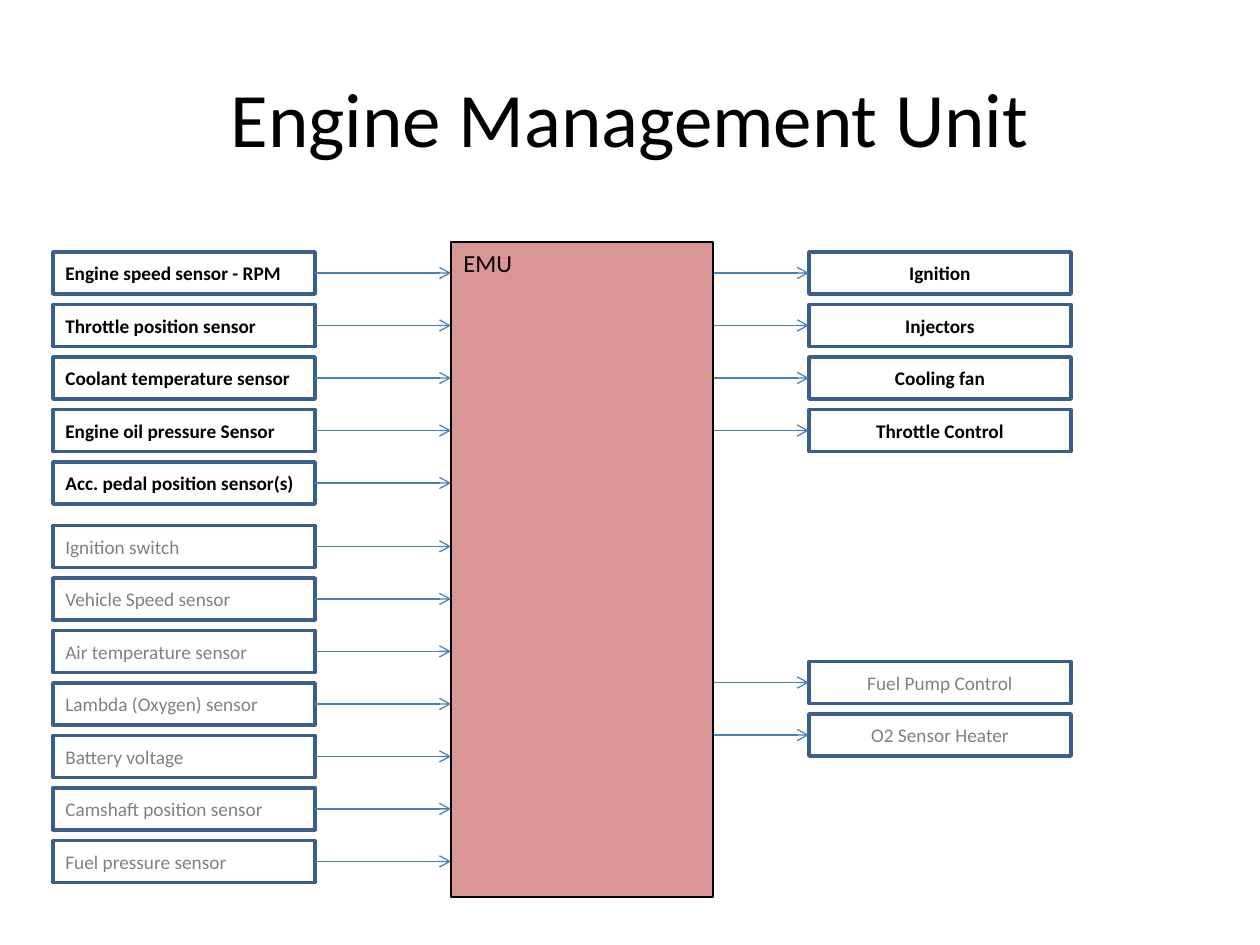
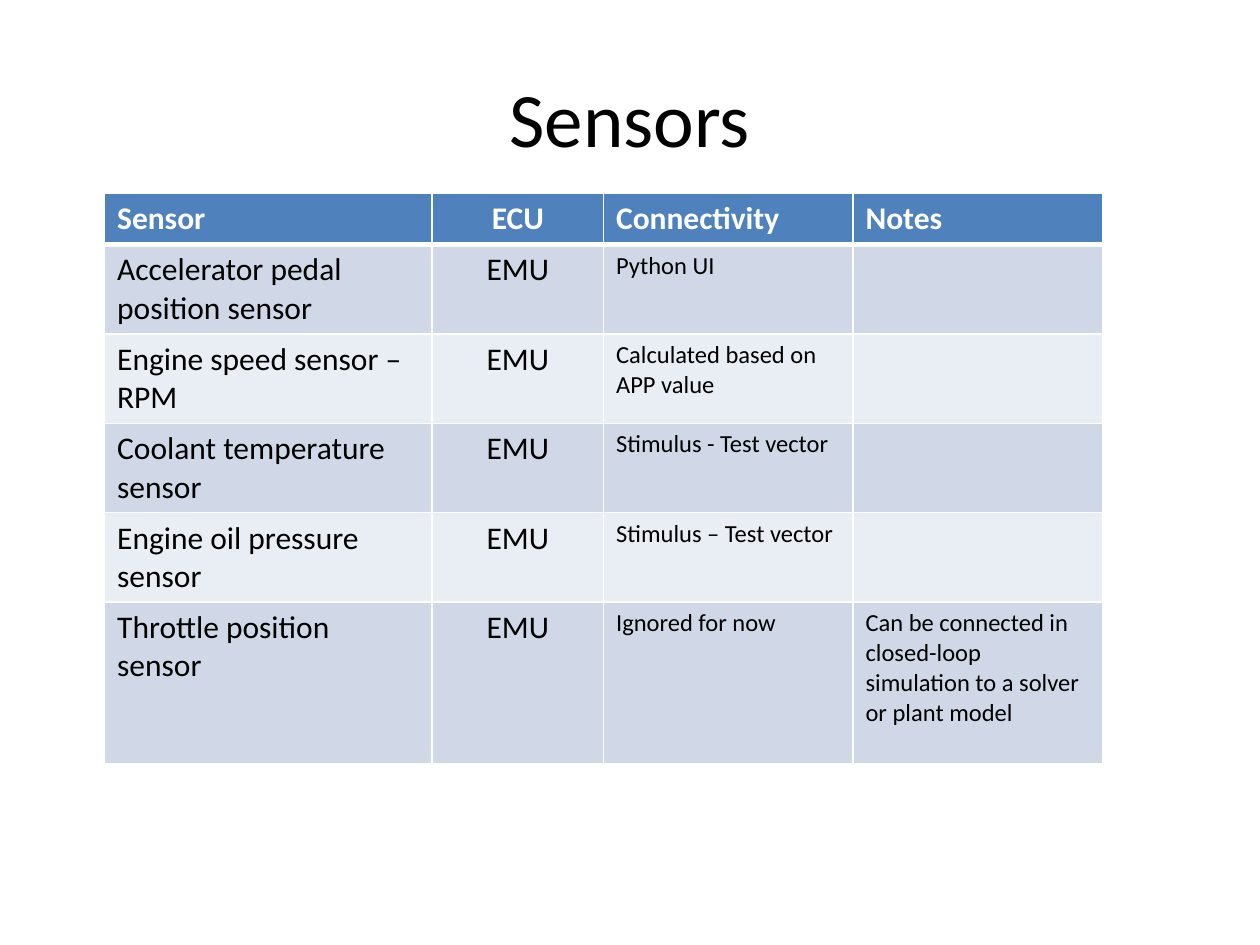
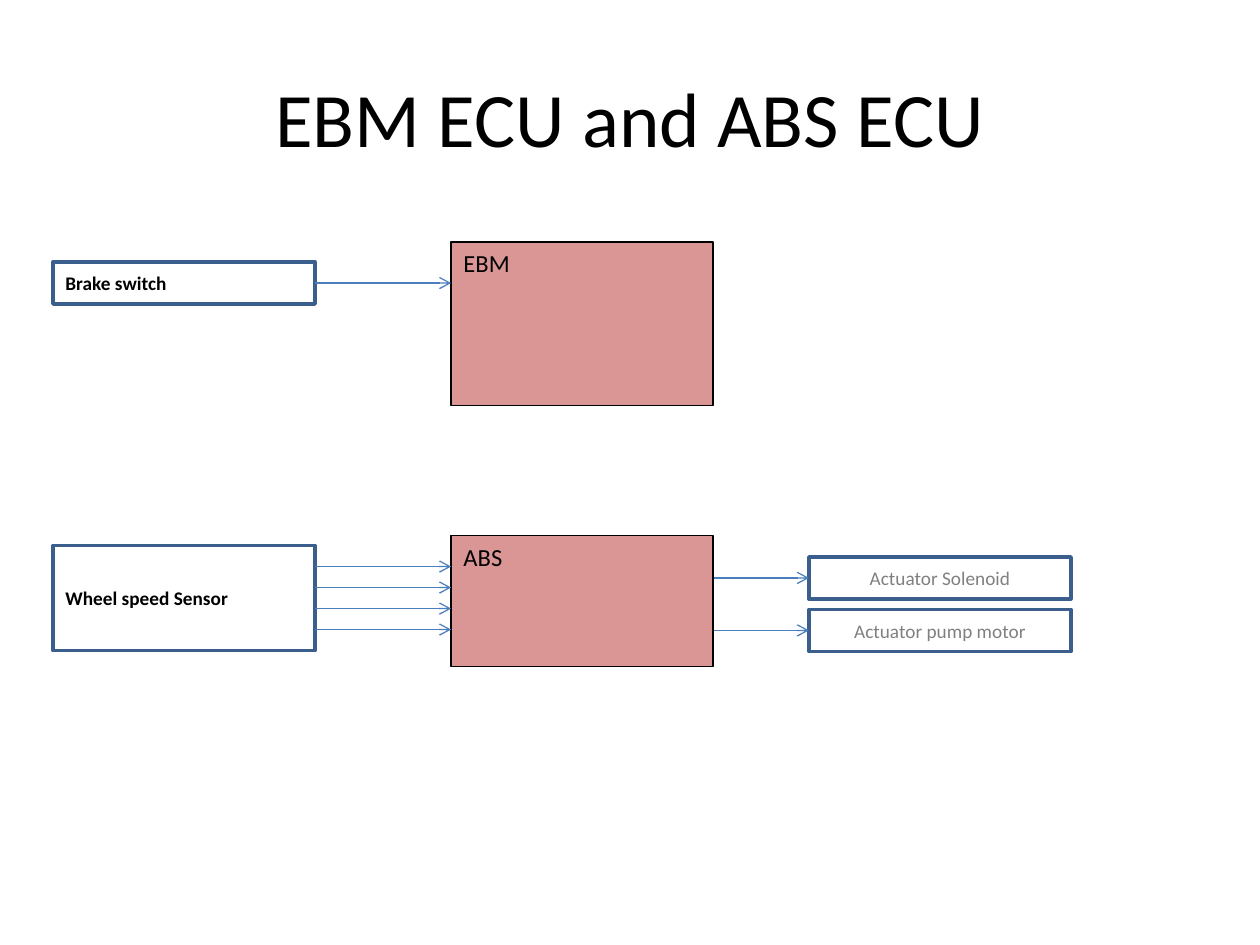
"""Build three slides on engine and brake control units and their sensors."""
import pptx
import pptx.util
import pptx.dml.color
import pptx.enum.shapes
import pptx.enum.text
import pptx.oxml
import pptx.oxml.ns
import lxml.etree

Inches = pptx.util.Inches
Pt = pptx.util.Pt
Align = pptx.enum.text.PP_ALIGN
Anchor = pptx.enum.text.MSO_ANCHOR
Rect = pptx.enum.shapes.MSO_SHAPE.RECTANGLE
Line = pptx.enum.shapes.MSO_CONNECTOR.STRAIGHT
qn = pptx.oxml.ns.qn

FONT = "Calibri"
BLACK, WHITE, GREY = "000000", "FFFFFF", "808080"
ROSE, EDGE, ARROW = "D99694", "3A5F8C", "4B7EBC"
HEAD, BANDS = "4F81BD", ("D0D8E8", "E9EDF4")
WIDE = 2.08
PITCH = 5 / 12
STEP = 1 / 6
LOW = 1 / 3


def hue(code):
    return pptx.dml.color.RGBColor.from_string(code)


def write(frame, text, size, code=BLACK, bold=False, align=Align.LEFT, anchor=Anchor.MIDDLE):
    frame.text = text
    frame.word_wrap = True
    frame.vertical_anchor = anchor
    para = frame.paragraphs[0]
    para.alignment = align
    for run in para.runs:
        run.font.name = FONT
        run.font.size = Pt(size)
        run.font.bold = bold
        run.font.color.rgb = hue(code)


deck = pptx.Presentation()
deck.slide_width = Inches(10)
deck.slide_height = Inches(7.5)

slides = []
for title in ("Engine Management Unit", "Sensors", "EBM ECU and ABS ECU"):
    slide = deck.slides.add_slide(deck.slide_layouts[6])
    box = slide.shapes.add_textbox(Inches(0.5), Inches(0.3), Inches(9), Inches(1.25))
    write(box.text_frame, title, 44, align=Align.CENTER)
    slides.append(slide)
engine, sensors, brakes = slides

units = [
    (engine, "EMU", 1.92, 5.2),
    (brakes, "EBM", 1.92, 1.3),
    (brakes, "ABS", 4.25, 1.04),
]
for slide, name, top, high in units:
    unit = slide.shapes.add_shape(Rect, Inches(3.58), Inches(top), Inches(WIDE), Inches(high))
    unit.shadow.inherit = False
    unit.fill.solid()
    unit.fill.fore_color.rgb = hue(ROSE)
    unit.line.color.rgb = hue(BLACK)
    unit.line.width = Pt(0.75)
    write(unit.text_frame, name, 14, anchor=Anchor.TOP)

# side: box left, arrow start, arrow end, text alignment
inlet = (0.42, 2.5, 3.58, Align.LEFT)
outlet = (6.42, 5.67, 6.42, Align.CENTER)
groups = [
    (engine, inlet, 2, LOW, True, [
        "Engine speed sensor - RPM", "Throttle position sensor",
        "Coolant temperature sensor", "Engine oil pressure Sensor",
        "Acc. pedal position sensor(s)"]),
    (engine, inlet, 4.17, LOW, False, [
        "Ignition switch", "Vehicle Speed sensor", "Air temperature sensor",
        "Lambda (Oxygen) sensor", "Battery voltage",
        "Camshaft position sensor", "Fuel pressure sensor"]),
    (engine, outlet, 2, LOW, True, [
        "Ignition", "Injectors", "Cooling fan", "Throttle Control"]),
    (engine, outlet, 5.25, LOW, False, ["Fuel Pump Control", "O2 Sensor Heater"]),
    (brakes, inlet, 2.08, LOW, True, ["Brake switch"]),
    (brakes, inlet, 4.33, 5 * STEP, True, ["Wheel speed Sensor"]),
    (brakes, outlet, 4.42, LOW, False, ["Actuator Solenoid", "Actuator pump motor"]),
]
for slide, (left, start, end, align), first, high, strong, names in groups:
    for row, name in enumerate(names):
        top = first + row * PITCH
        part = slide.shapes.add_shape(Rect, Inches(left), Inches(top), Inches(WIDE), Inches(high))
        part.shadow.inherit = False
        part.fill.background()
        part.line.color.rgb = hue(EDGE)
        part.line.width = Pt(2)
        write(part.text_frame, name, 11, BLACK if strong else GREY, strong, align)
        for wire in range(1, round(high / STEP)):
            mid = Inches(top + wire * STEP)
            link = slide.shapes.add_connector(Line, Inches(start), mid, Inches(end), mid)
            link.line.color.rgb = hue(ARROW)
            link.line.width = Pt(0.75)
            props = link.line._get_or_add_ln()
            lxml.etree.SubElement(props, qn("a:tailEnd"), type="arrow")
            lxml.etree.SubElement(link._element.spPr, qn("a:effectLst"))

rows = [
    ("Sensor", "ECU", "Connectivity", "Notes"),
    ("Accelerator pedal position sensor", "EMU", "Python UI", ""),
    ("Engine speed sensor – RPM", "EMU", "Calculated based on APP value", ""),
    ("Coolant temperature sensor", "EMU", "Stimulus - Test vector", ""),
    ("Engine oil pressure sensor", "EMU", "Stimulus – Test vector", ""),
    ("Throttle position sensor", "EMU", "Ignored for now",
     "Can be connected in closed-loop simulation to a solver or plant model"),
]
widths = (2.6, 1.36, 1.98, 1.98)
highs = (0.41, 0.71, 0.71, 0.71, 0.71, 1.28)
grid = sensors.shapes.add_table(
    len(rows), len(widths), Inches(0.83), Inches(1.53), Inches(sum(widths)), Inches(sum(highs))).table
for col, width in enumerate(widths):
    grid.columns[col].width = Inches(width)
for row, texts in enumerate(rows):
    grid.rows[row].height = Inches(highs[row])
    top = row == 0
    for col, text in enumerate(texts):
        cell = grid.cell(row, col)
        size = 18 if top or col < 2 else 14
        align = Align.CENTER if col == 1 else Align.LEFT
        write(cell.text_frame, text, size, WHITE if top else BLACK, top, align, Anchor.TOP)
        props = cell._tc.get_or_add_tcPr()
        for side in "LRTB":
            thick = 3 if (row, side) in ((0, "B"), (1, "T")) else 1
            edge = lxml.etree.SubElement(props, qn("a:ln" + side), w=str(Pt(thick)))
            fill = lxml.etree.SubElement(edge, qn("a:solidFill"))
            lxml.etree.SubElement(fill, qn("a:srgbClr"), val=WHITE)
        cell.fill.solid()
        cell.fill.fore_color.rgb = hue(HEAD if top else BANDS[(row - 1) % 2])

deck.save("out.pptx")
